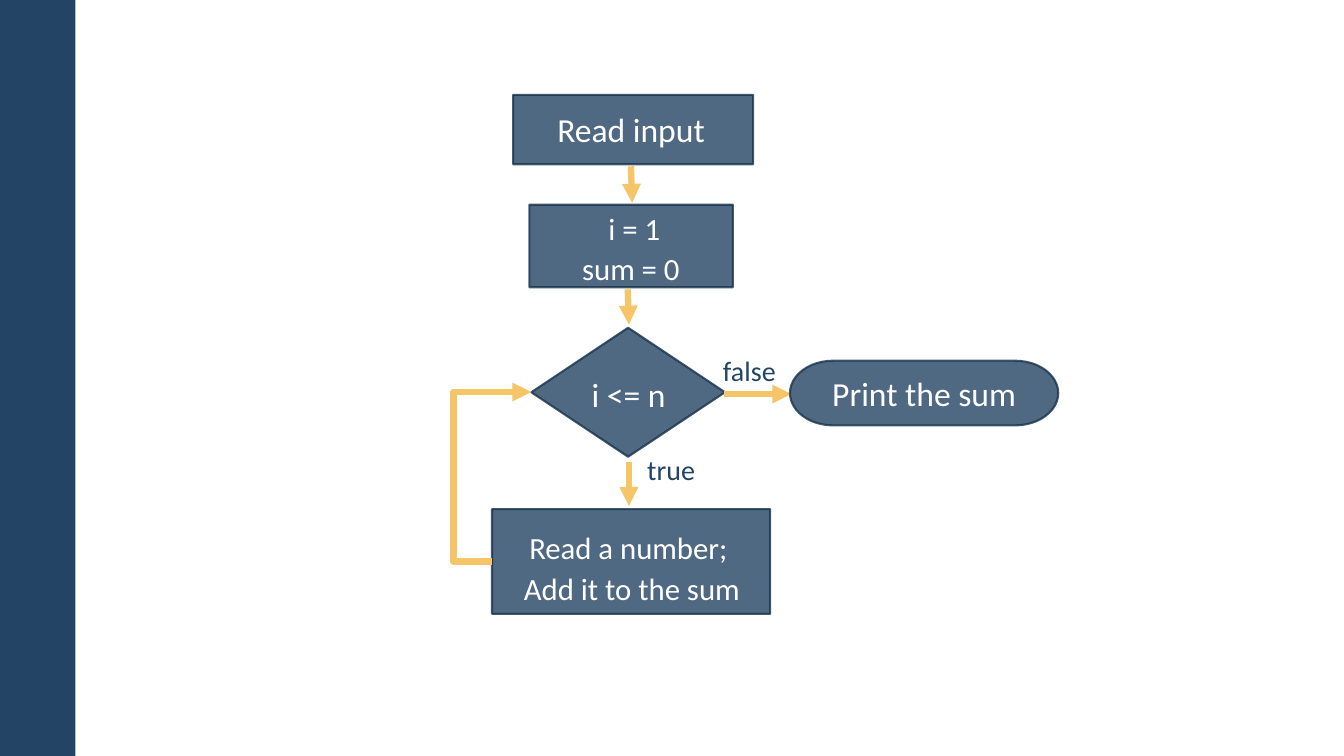
"""Build a flowchart slide that sums numbers in a loop."""
from dataclasses import dataclass
from typing import Any, Optional

from lxml import etree
from pptx import Presentation
from pptx import util as u
from pptx.dml import color
from pptx.enum import shapes, text
from pptx.oxml import ns

COLORS = {"navy": "234465", "edge": "1A334C", "arrow": "F5C567", "white": "FFFFFF"}
FONT = "Calibri"
OPACITY = 80
CENTER = text.PP_ALIGN.CENTER
LEFT = text.PP_ALIGN.LEFT
SHAPE = shapes.MSO_SHAPE
Bounds = tuple[float, float, float, float]

FRAME_FORMAT = {
    "margin_left": u.Cm(0.41), "margin_right": u.Cm(0.41),
    "margin_top": u.Cm(0.3), "margin_bottom": u.Cm(0.3),
    "vertical_anchor": text.MSO_ANCHOR.TOP,
    "auto_size": text.MSO_AUTO_SIZE.SHAPE_TO_FIT_TEXT,
}


@dataclass(frozen=True)
class Caption:
    lines: tuple[str, ...]
    bounds: Bounds
    size: int
    align: Any = CENTER
    color: str = "white"
    wrap: bool = True


@dataclass(frozen=True)
class Step:
    kind: Any
    bounds: Bounds
    caption: Caption


@dataclass(frozen=True)
class Arrow:
    start: tuple[float, float]
    end: tuple[float, float]
    bend: Optional[int] = None


STEPS = (
    Step(SHAPE.RECTANGLE, (13.34, 5.16, 5.13, 2.08),
         Caption((" i = 1", "sum = 0"), (13.51, 4.88, 4.78, 2.62), 22)),
    Step(SHAPE.DIAMOND, (13.39, 8.26, 4.88, 3.25),
         Caption(("i <= n",), (14.5, 9.02, 4.98, 2.08), 24, LEFT)),
    Step(SHAPE.RECTANGLE, (12.93, 2.39, 6.05, 1.75),
         Caption(("Read input",), (12.4, 2.34, 7.01, 1.68), 24)),
    Step(SHAPE.RECTANGLE, (12.4, 12.83, 7.01, 2.64),
         Caption(("Read a number; ", "Add it to the sum"), (12.65, 12.93, 6.55, 2.01), 22)),
)
ARROWS = (
    Arrow((15.9, 4.19), (15.93, 5.11)),
    Arrow((15.82, 7.29), (15.85, 8.18)),
    Arrow((18.24, 9.93), (19.94, 9.93)),
    Arrow((15.85, 11.63), (15.85, 12.75)),
    Arrow((12.4, 14.15), (13.39, 9.88), bend=-98400),
)
BRANCHES = (
    Caption(("false",), (17.81, 8.53, 2.16, 1.5), 20, LEFT, "navy", False),
    Caption(("true",), (15.9, 11.02, 2.03, 1.5), 20, LEFT, "navy", False),
)
RESULT = (19.91, 9.09, 6.76, 1.63)


def apply(target: Any, values: dict[str, Any]) -> None:
    for name, value in values.items():
        setattr(target, name, value)


def rgb(name: str) -> color.RGBColor:
    return color.RGBColor.from_string(COLORS[name])


def place(bounds: Bounds) -> list[u.Length]:
    return [u.Cm(value) for value in bounds]


def write(para: Any, words: str, size: int, shade: str, values: dict[str, Any]) -> None:
    apply(para, values)
    span = para.add_run()
    span.text = words
    apply(span.font, {"name": FONT, "size": u.Pt(size)})
    span.font.color.rgb = rgb(shade)


def add_caption(parent: Any, caption: Caption) -> None:
    frame = parent.add_textbox(*place(caption.bounds)).text_frame
    apply(frame, {**FRAME_FORMAT, "word_wrap": caption.wrap})
    for index, line in enumerate(caption.lines):
        para = frame.add_paragraph() if index else frame.paragraphs[0]
        write(para, line, caption.size, caption.color,
              {"alignment": caption.align, "line_spacing": 1.1})


def add_block(parent: Any, kind: Any, bounds: Bounds) -> Any:
    box = parent.add_shape(kind, *place(bounds))
    box.shadow.inherit = False
    box.fill.solid()
    box.fill.fore_color.rgb = rgb("navy")
    return box


def add_node(parent: Any, kind: Any, bounds: Bounds) -> Any:
    box = add_block(parent, kind, bounds)
    box.line.color.rgb = rgb("edge")
    box.line.width = u.Pt(1.5)
    for shade in box._element.spPr.iter(ns.qn("a:srgbClr")):
        etree.SubElement(shade, ns.qn("a:alpha"), val=str(OPACITY * 1000))
    return box


def add_arrow(parent: Any, arrow: Arrow) -> None:
    bent = arrow.bend is not None
    kind = shapes.MSO_CONNECTOR.ELBOW if bent else shapes.MSO_CONNECTOR.STRAIGHT
    line = parent.add_connector(kind, *place((*arrow.start, *arrow.end)))
    line.line.color.rgb = rgb("arrow")
    line.line.width = u.Pt(4.5)
    properties = line._element.spPr
    etree.SubElement(line.line._get_or_add_ln(), ns.qn("a:tailEnd"), type="triangle")
    etree.SubElement(properties, ns.qn("a:effectLst"))
    if bent:
        guides = next(properties.iter(ns.qn("a:avLst")))
        etree.SubElement(guides, ns.qn("a:gd"), name="adj1", fmla=f"val {arrow.bend}")


def main() -> None:
    deck = Presentation()
    apply(deck, {"slide_width": u.Cm(33.87), "slide_height": u.Cm(19.05)})
    page = deck.slides.add_slide(deck.slide_layouts[6])
    band = add_block(page.shapes, SHAPE.RECTANGLE, (0, 0, 1.9, 19.05))
    band.line.fill.background()
    for step in STEPS:
        group = page.shapes.add_group_shape()
        add_node(group.shapes, step.kind, step.bounds)
        add_caption(group.shapes, step.caption)
    for arrow in ARROWS:
        add_arrow(page.shapes, arrow)
    for branch in BRANCHES:
        add_caption(page.shapes, branch)
    result = add_node(page.shapes, SHAPE.FLOWCHART_TERMINATOR, RESULT)
    result.text_frame.vertical_anchor = text.MSO_ANCHOR.MIDDLE
    write(result.text_frame.paragraphs[0], "Print the sum", 24, "white", {"alignment": CENTER})
    deck.save("out.pptx")


if __name__ == "__main__":
    main()
